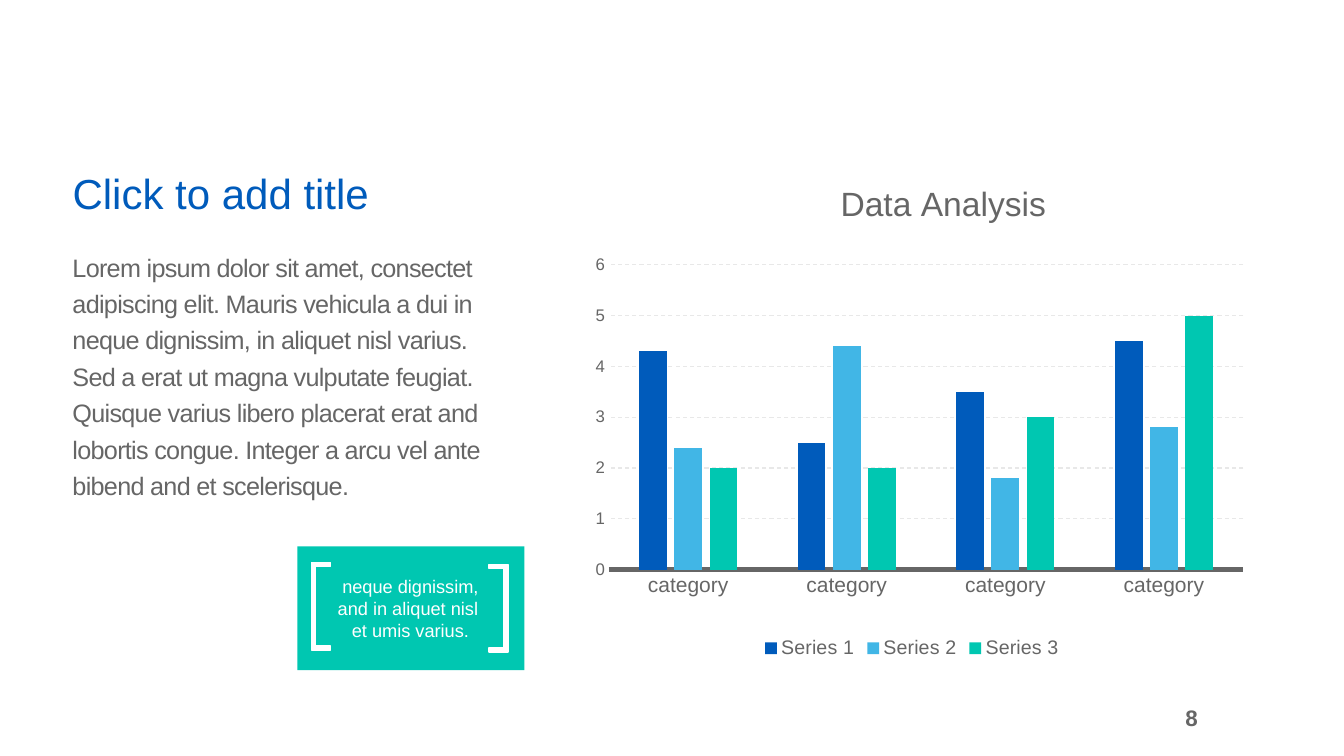
from pptx import Presentation
from pptx.chart.data import CategoryChartData
from pptx.dml.color import RGBColor
from pptx.enum.chart import XL_CHART_TYPE, XL_LEGEND_POSITION, XL_TICK_MARK
from pptx.enum.dml import MSO_LINE
from pptx.enum.shapes import MSO_SHAPE
from pptx.enum.text import MSO_ANCHOR, MSO_AUTO_SIZE, PP_ALIGN
from pptx.oxml import parse_xml
from pptx.oxml.ns import nsdecls, qn
from pptx.util import Inches, Pt

COLORS = {
    "blue": "005BBB",
    "sky": "41B6E6",
    "teal": "00C7B1",
    "gray": "666666",
    "grid": "E8E8E8",
    "white": "FFFFFF",
}
BODY = (
    "Lorem ipsum dolor sit amet, consectet adipiscing elit. Mauris vehicula a dui in "
    "neque dignissim, in aliquet nisl varius. Sed a erat ut magna vulputate feugiat. "
    "Quisque varius libero placerat erat and lobortis congue. Integer a arcu vel ante "
    "bibend and et scelerisque."
)
SERIES = [
    ("Series 1", "blue", (4.3, 2.5, 3.5, 4.5)),
    ("Series 2", "sky", (2.4, 4.4, 1.8, 2.8)),
    ("Series 3", "teal", (2, 2, 3, 5)),
]


def color(name):
    return RGBColor.from_string(COLORS[name])


def place(node, **spots):
    old = node.find(qn("c:layout"))
    if old is not None:
        node.remove(old)
    inner = '<c:layoutTarget val="inner"/>' if "w" in spots else ""
    modes = "".join(f'<c:{key}Mode val="edge"/>' for key in "xy")
    sizes = "".join(f'<c:{key} val="{val}"/>' for key, val in spots.items())
    layout = parse_xml(
        f'<c:layout {nsdecls("c")}><c:manualLayout>{inner}{modes}{sizes}'
        "</c:manualLayout></c:layout>"
    )
    text = node.find(qn("c:tx"))
    node.insert(0 if text is None else 1, layout)


class Deck:
    face = "Arial"

    def __init__(self):
        self.deck = Presentation()
        self.deck.slide_width = Inches(13.33)
        self.deck.slide_height = Inches(7.5)
        self.slide = self.deck.slides.add_slide(self.deck.slide_layouts[5])
        self.shapes = self.slide.shapes

    def style(self, font, size, tint="gray", bold=False):
        font.name = self.face
        font.size = Pt(size)
        font.bold = bold
        font.color.rgb = color(tint)

    def label(self, box, text, size, tint, align, anchor, bold=False):
        frame = box.text_frame
        frame.word_wrap = True
        frame.auto_size = MSO_AUTO_SIZE.NONE
        frame.vertical_anchor = anchor
        frame.text = text
        para = frame.paragraphs[0]
        para.alignment = align
        self.style(para.font, size, tint, bold)
        return para

    def title(self, text, spot):
        box = self.shapes.title
        box.left, box.top, box.width, box.height = map(Inches, spot)
        para = self.label(box, text, 30, "blue", PP_ALIGN.LEFT, MSO_ANCHOR.BOTTOM)
        para.line_spacing = 0.9

    def text(self, text, spot, size, tint="gray", align=PP_ALIGN.LEFT,
             anchor=MSO_ANCHOR.TOP, bold=False):
        box = self.shapes.add_textbox(*map(Inches, spot))
        return self.label(box, text, size, tint, align, anchor, bold)

    def rect(self, spot, tint):
        box = self.shapes.add_shape(MSO_SHAPE.RECTANGLE, *map(Inches, spot))
        box.shadow.inherit = False
        box.fill.solid()
        box.fill.fore_color.rgb = color(tint)
        box.line.fill.background()

    def bracket(self, edge, top, way):
        wide, high, thick = 0.19, 0.87, 0.04
        outline = [
            (wide, 0), (0, 0), (0, high), (wide, high),
            (wide, high - thick), (thick, high - thick),
            (thick, thick), (wide, thick),
        ]
        points = [(Inches(edge + way * x), Inches(top + y)) for x, y in outline]
        pen = self.shapes.build_freeform(*points[0])
        pen.add_line_segments(points[1:], close=True)
        shape = pen.convert_to_shape()
        shape.shadow.inherit = False
        shape.fill.solid()
        shape.fill.fore_color.rgb = color("white")
        shape.line.color.rgb = color("white")
        shape.line.width = Pt(1)

    def chart(self, title, cats, series, spot):
        data = CategoryChartData()
        data.categories = cats
        for name, tint, vals in series:
            data.add_series(name, vals)
        chart = self.shapes.add_chart(
            XL_CHART_TYPE.COLUMN_CLUSTERED, *map(Inches, spot), data
        ).chart
        self.style(chart.font, 10)

        chart.has_title = True
        head = chart.chart_title
        head.text_frame.text = title
        self.style(head.text_frame.paragraphs[0].font, 24)
        place(head.element, x=0.39, y=0.01)
        area = chart.element.find(".//" + qn("c:plotArea"))
        place(area, x=0.07, y=0.19, w=0.9, h=0.62)

        chart.has_legend = True
        chart.legend.position = XL_LEGEND_POSITION.BOTTOM
        chart.legend.include_in_layout = False
        self.style(chart.legend.font, 14)

        plot = chart.plots[0]
        plot.vary_by_categories = False
        plot.gap_width = 219
        plot.overlap = -27
        for bar, (name, tint, vals) in zip(plot.series, series):
            bar.format.fill.solid()
            bar.format.fill.fore_color.rgb = color(tint)

        base, scale = chart.category_axis, chart.value_axis
        for axis, size in ((base, 15), (scale, 12)):
            axis.major_tick_mark = XL_TICK_MARK.NONE
            axis.minor_tick_mark = XL_TICK_MARK.NONE
            self.style(axis.tick_labels.font, size)
        base.format.line.color.rgb = color("gray")
        base.format.line.width = Pt(3.25)
        scale.format.line.fill.background()
        scale.minimum_scale, scale.maximum_scale, scale.major_unit = 0, 6, 1
        grid = scale.major_gridlines.format.line
        grid.color.rgb = color("grid")
        grid.width = Pt(0.75)
        grid.dash_style = MSO_LINE.DASH


def main():
    page = Deck()
    page.title("Click to add title", (0.62, 1.44, 4.67, 0.78))
    page.text("8", (11.22, 6.83, 0.76, 0.58), 16, align=PP_ALIGN.RIGHT,
              anchor=MSO_ANCHOR.MIDDLE, bold=True)
    page.chart("Data Analysis", ["category"] * 4, SERIES, (5.55, 1.7, 6.99, 4.88))
    body = page.text(BODY, (0.62, 2.39, 4.38, 3.03), 18)
    body.line_spacing = Pt(26)
    body.runs[0].font._element.set("spc", "-50")
    page.rect((2.95, 5.42, 2.25, 1.23), "teal")
    page.bracket(3.09, 5.58, 1)
    page.bracket(5.04, 5.6, -1)
    page.text("neque dignissim, and in aliquet nisl \vet umis varius.",
              (3.21, 5.66, 1.72, 0.76), 13, "white", PP_ALIGN.CENTER)
    page.deck.save("out.pptx")


if __name__ == "__main__":
    main()
